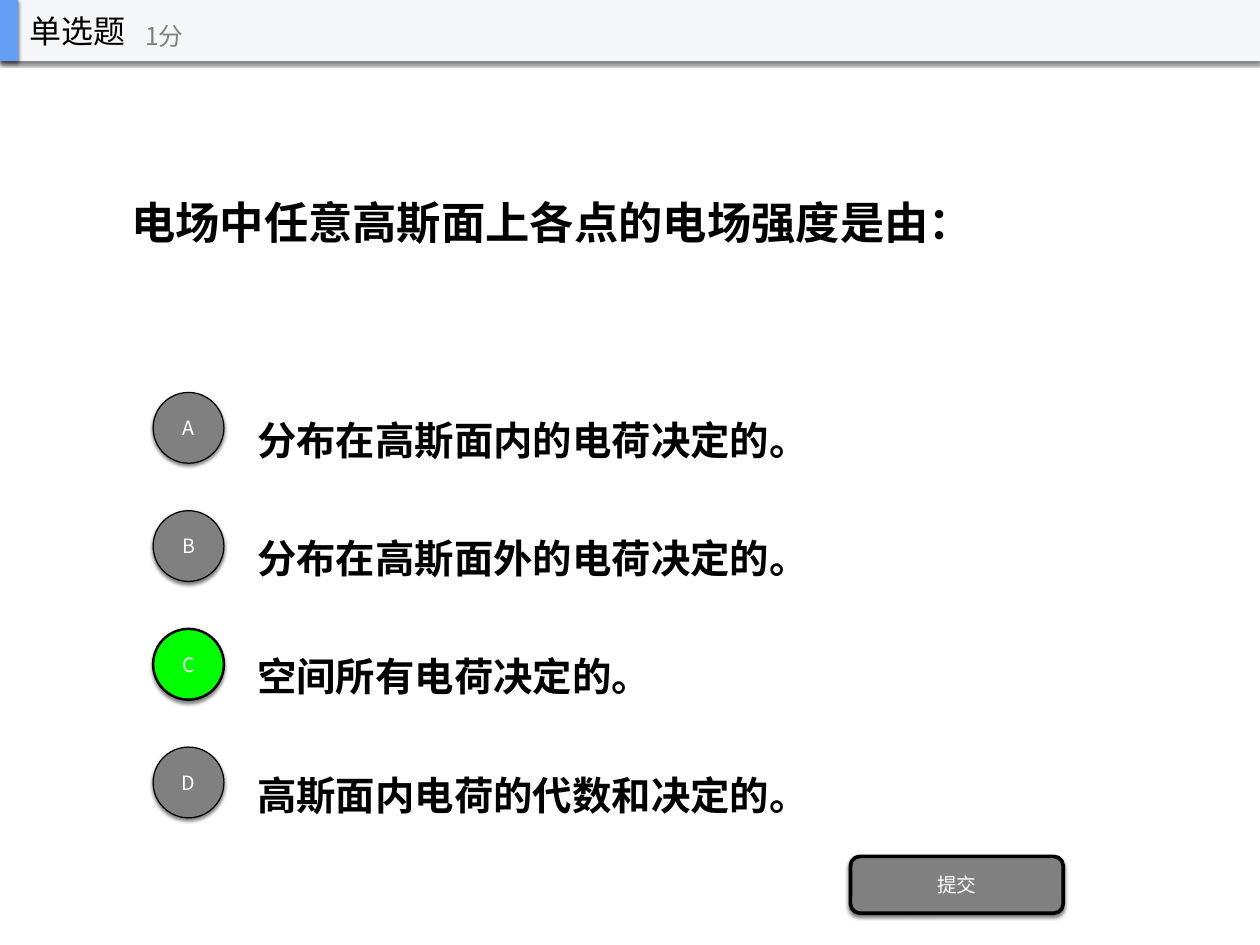
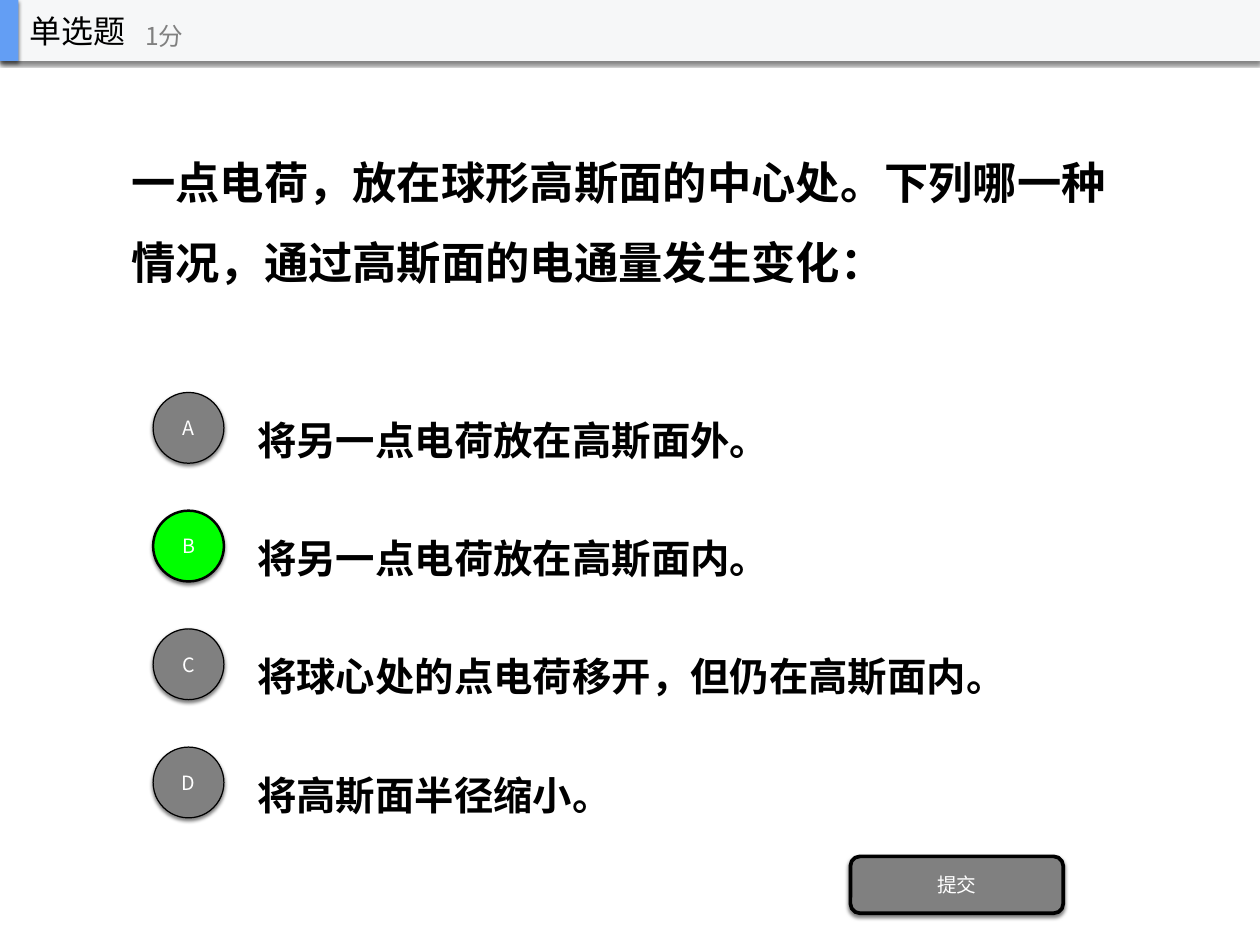
"""Build two single-choice quiz slides about Gaussian surfaces."""
from dataclasses import dataclass

from pptx import Presentation
from pptx.dml.color import RGBColor
from pptx.enum.shapes import MSO_SHAPE
from pptx.enum.text import MSO_ANCHOR, MSO_AUTO_SIZE, PP_ALIGN
from pptx.oxml import parse_xml
from pptx.oxml.ns import nsdecls, qn
from pptx.util import Cm, Pt

ELLIPSE, RECTANGLE, ROUNDED = MSO_SHAPE.OVAL, MSO_SHAPE.RECTANGLE, MSO_SHAPE.ROUNDED_RECTANGLE
LEFT, CENTER = PP_ALIGN.LEFT, PP_ALIGN.CENTER
MIDDLE = MSO_ANCHOR.MIDDLE
NO_AUTO_SIZE = MSO_AUTO_SIZE.NONE

BLACK = RGBColor(0x00, 0x00, 0x00)
WHITE = RGBColor(0xFF, 0xFF, 0xFF)
GREY = RGBColor(0x80, 0x80, 0x80)
GREEN = RGBColor(0x00, 0xFF, 0x00)
BAND = RGBColor(0xF6, 0xF7, 0xF8)
ACCENT = RGBColor(0x63, 0x9E, 0xF4)

FONT = "Noto Sans CJK SC"
SLIDE_WIDTH, SLIDE_HEIGHT = 36.12, 27.1
BAND_HEIGHT = 1.75
OPTION_TOP, OPTION_PITCH, OPTION_HEIGHT = 11.0, 3.39, 2.54
CIRCLE_SIZE = 2.03
INSET = Cm(0.15)
FRAME_FORMAT = {
    "margin_left": INSET, "margin_right": INSET, "margin_top": INSET, "margin_bottom": INSET,
    "vertical_anchor": MIDDLE, "word_wrap": True, "auto_size": NO_AUTO_SIZE,
}
SHADOW = (
    f'<a:outerShdw {nsdecls("a")} blurRad="38100" dist="25400" dir="5400000" rotWithShape="0">'
    '<a:srgbClr val="000000"><a:alpha val="50000"/></a:srgbClr></a:outerShdw>'
)


@dataclass(frozen=True)
class Box:
    """Position and size in centimetres."""
    left: float
    top: float
    width: float
    height: float

    def lengths(self) -> tuple:
        """Return the four lengths in drawing units."""
        return Cm(self.left), Cm(self.top), Cm(self.width), Cm(self.height)


@dataclass(frozen=True)
class TextStyle:
    """Look of one line of text."""
    size: int
    color: RGBColor
    bold: bool = False
    alignment: int = LEFT
    line_spacing: float = 1.0


@dataclass(frozen=True)
class Question:
    """A question, its options and the letter of the right one."""
    text: str
    options: tuple
    answer: str


QUESTION_STYLE = TextStyle(36, BLACK, bold=True, line_spacing=1.5)
OPTION_STYLE = TextStyle(32, BLACK, bold=True, line_spacing=1.5)
BUTTON_STYLE = TextStyle(16, WHITE, alignment=CENTER)
KIND_STYLE = TextStyle(26, BLACK)
SCORE_STYLE = TextStyle(20, GREY)

QUESTION_BOX = Box(3.61, BAND_HEIGHT, 28.9, 8.47)
SUBMIT_BOX = Box(24.38, 24.56, 6.1, 1.63)
BAND_BOX = Box(0, 0, SLIDE_WIDTH, BAND_HEIGHT)
ACCENT_BOX = Box(0, 0, 0.53, BAND_HEIGHT)
KIND_BOX = Box(0.71, 0, 5.28, BAND_HEIGHT)
SCORE_BOX = Box(4.01, 0.3, 6.35, 1.42)

QUESTIONS = (
    Question(
        "电场中任意高斯面上各点的电场强度是由：",
        ("分布在高斯面内的电荷决定的。", "分布在高斯面外的电荷决定的。",
         "空间所有电荷决定的。", "高斯面内电荷的代数和决定的。"),
        "C",
    ),
    Question(
        "一点电荷，放在球形高斯面的中心处。下列哪一种情况，通过高斯面的电通量发生变化：",
        ("将另一点电荷放在高斯面外。", "将另一点电荷放在高斯面内。",
         "将球心处的点电荷移开，但仍在高斯面内。", "将高斯面半径缩小。"),
        "B",
    ),
)


def write_text(shape, text: str, style: TextStyle) -> None:
    """Fill a shape with one formatted paragraph."""
    frame = shape.text_frame
    for name, value in FRAME_FORMAT.items():
        setattr(frame, name, value)
    paragraph = frame.paragraphs[0]
    paragraph.alignment = style.alignment
    paragraph.line_spacing = style.line_spacing
    run = paragraph.add_run()
    run.text = text
    for name, value in {"name": FONT, "size": Pt(style.size), "bold": style.bold}.items():
        setattr(run.font, name, value)
    run.font.color.rgb = style.color
    east_asian = parse_xml(f'<a:ea {nsdecls("a")} typeface="{FONT}"/>')
    run.font.element.append(east_asian) if hasattr(run.font, "element") else run._r.rPr.append(east_asian)


def add_label(shapes, box: Box, text: str, style: TextStyle) -> None:
    """Add a text box."""
    write_text(shapes.add_textbox(*box.lengths()), text, style)


def add_panel(shapes, kind: int, box: Box, fill: RGBColor, line_width: float = 0):
    """Add a filled shape with a soft shadow below it."""
    shape = shapes.add_shape(kind, *box.lengths())
    shape.fill.solid()
    shape.fill.fore_color.rgb = fill
    if line_width:
        shape.line.color.rgb = BLACK
        shape.line.width = Pt(line_width)
    else:
        shape.line.fill.background()
    shape.shadow.inherit = False
    shape.element.spPr.find(qn("a:effectLst")).append(parse_xml(SHADOW))
    return shape


def add_header(slide) -> None:
    """Add the grouped band with question kind and score."""
    shapes = slide.shapes.add_group_shape().shapes
    add_panel(shapes, RECTANGLE, BAND_BOX, BAND)
    add_panel(shapes, RECTANGLE, ACCENT_BOX, ACCENT)
    add_label(shapes, KIND_BOX, "单选题", KIND_STYLE)
    add_label(shapes, SCORE_BOX, "1分", SCORE_STYLE)


def add_option(slide, index: int, text: str, answer: str) -> None:
    """Add one option with its lettered circle."""
    letter = "ABCD"[index]
    top = OPTION_TOP + index * OPTION_PITCH
    add_label(slide.shapes, Box(7.22, top, 25.29, OPTION_HEIGHT), text, OPTION_STYLE)
    circle_box = Box(4.39, top + (OPTION_HEIGHT - CIRCLE_SIZE) / 2, CIRCLE_SIZE, CIRCLE_SIZE)
    fill, line_width = (GREEN, 2) if letter == answer else (GREY, 1)
    circle = add_panel(slide.shapes, ELLIPSE, circle_box, fill, line_width)
    write_text(circle, letter, BUTTON_STYLE)


def add_question_slide(presentation, question: Question) -> None:
    """Add a slide for one question."""
    slide = presentation.slides.add_slide(presentation.slide_layouts[5])
    title = slide.shapes.title
    title.left, title.top, title.width, title.height = QUESTION_BOX.lengths()
    write_text(title, question.text, QUESTION_STYLE)
    for index, text in enumerate(question.options):
        add_option(slide, index, text, question.answer)
    submit = add_panel(slide.shapes, ROUNDED, SUBMIT_BOX, GREY, 3)
    write_text(submit, "提交", BUTTON_STYLE)
    add_header(slide)


def main() -> None:
    """Build and save the presentation."""
    presentation = Presentation()
    presentation.slide_width, presentation.slide_height = Cm(SLIDE_WIDTH), Cm(SLIDE_HEIGHT)
    for question in QUESTIONS:
        add_question_slide(presentation, question)
    presentation.save("out.pptx")


if __name__ == "__main__":
    main()
